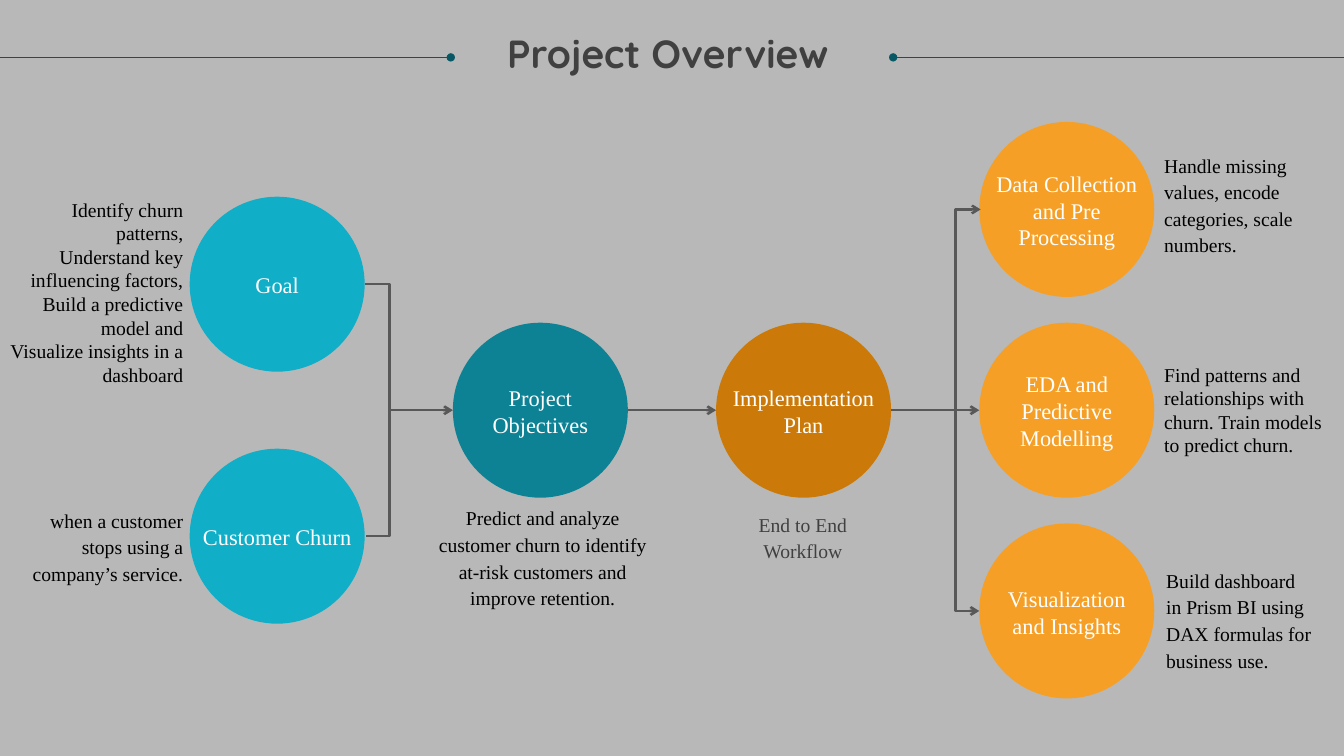
"""Build the Project Overview slide: a flow from goals to implementation steps."""
import dataclasses

import lxml.etree
import pptx
import pptx.dml.color
import pptx.enum.shapes
import pptx.enum.text
import pptx.oxml.ns
import pptx.util

Pt = pptx.util.Pt
qn = pptx.oxml.ns.qn
Align = pptx.enum.text.PP_ALIGN
Anchor = pptx.enum.text.MSO_ANCHOR
Connector = pptx.enum.shapes.MSO_CONNECTOR


def rgb(value):
    """Turn a hex string into a colour."""
    return pptx.dml.color.RGBColor.from_string(value)


@dataclasses.dataclass(frozen=True)
class Theme:
    """Colours, fonts and type sizes of the slide."""
    background: str = "B8B8B8"
    rule: str = "085764"
    link: str = "585858"
    source: str = "11AEC7"
    objective: str = "0D8295"
    plan: str = "CB7A09"
    step: str = "F59F26"
    light: str = "FFFFFF"
    muted: str = "404040"
    dark: str = "000000"
    title_font: str = "Quicksand"
    body_font: str = "Times New Roman"
    title_size: float = 28
    label_size: float = 16
    note_size: float = 14
    note_leading: float = 19


class FlowSlide:
    """Hold the theme and the current slide, and draw its elements."""

    def __init__(self, deck, theme):
        """Add a blank slide with the theme background."""
        self.theme = theme
        self.slide = deck.slides.add_slide(deck.slide_layouts[6])
        fill = self.slide.background.fill
        fill.solid()
        fill.fore_color.rgb = rgb(theme.background)

    def apply(self, target, formats):
        """Set every attribute named in the formats."""
        for name, value in formats.items():
            setattr(target, name, value)

    def text(self, box, paragraphs, size, color, font=None, align=Align.CENTER,
             anchor=Anchor.MIDDLE, leading=None, bold=False):
        """Write paragraphs in a box given as left, top, width and height."""
        frame = self.slide.shapes.add_textbox(*map(Pt, box)).text_frame
        self.apply(frame, {
            "word_wrap": True, "vertical_anchor": anchor,
            "auto_size": pptx.enum.text.MSO_AUTO_SIZE.SHAPE_TO_FIT_TEXT,
            "margin_left": 0, "margin_top": 0, "margin_right": 0, "margin_bottom": 0})
        frame.text = "\n".join(paragraphs)
        for paragraph in frame.paragraphs:
            self.apply(paragraph, {"alignment": align, "line_spacing": leading})
            for run in paragraph.runs:
                self.apply(run.font, {"name": font or self.theme.body_font,
                                      "size": Pt(size), "bold": bold})
                run.font.color.rgb = rgb(color)

    def circle(self, center, diameter, color):
        """Draw a filled circle around a center."""
        left, top = (value - diameter / 2 for value in center)
        shape = self.slide.shapes.add_shape(
            pptx.enum.shapes.MSO_SHAPE.OVAL, Pt(left), Pt(top), Pt(diameter), Pt(diameter))
        shape.shadow.inherit = False
        shape.fill.solid()
        shape.fill.fore_color.rgb = rgb(color)
        shape.line.fill.background()

    def label(self, center, text, lines):
        """Write a circle's label over its center."""
        width, height = 108, lines * 19.4
        box = (center[0] - width / 2, center[1] - height / 2 + 0.5, width, height)
        self.text(box, [text], self.theme.label_size, self.theme.light)

    def note(self, box, paragraphs, align, spaced=True, color=None):
        """Write the explanation beside a circle."""
        leading = Pt(self.theme.note_leading) if spaced else None
        self.text(box, paragraphs, self.theme.note_size, color or self.theme.dark,
                  align=align, leading=leading)

    def link(self, start, end, color, width, head=None, tail=None, reach=None):
        """Join two points, as a bracket when a reach is given."""
        kind = Connector.ELBOW if reach else Connector.STRAIGHT
        line = self.slide.shapes.add_connector(kind, *map(Pt, (*start, *end)))
        line.line.color.rgb = rgb(color)
        line.line.width = Pt(width)
        properties = line._element.spPr
        outline = properties.find(qn("a:ln"))
        for tag, arrow in (("a:headEnd", head), ("a:tailEnd", tail)):
            if arrow:
                lxml.etree.SubElement(outline, qn(tag), type=arrow)
        if reach:
            ratio = round(reach / abs(end[0] - start[0]) * 100000)
            adjustments = properties.find(qn("a:prstGeom")).find(qn("a:avLst"))
            lxml.etree.SubElement(adjustments, qn("a:gd"), name="adj1", fmla=f"val {ratio}")
        lxml.etree.SubElement(properties, qn("a:effectLst"))


def main():
    """Lay out the flow and save the deck."""
    deck = pptx.Presentation()
    deck.slide_width, deck.slide_height = Pt(960), Pt(540)
    theme = Theme()
    flow = FlowSlide(deck, theme)

    rule_y = 41
    flow.link((638, rule_y), (960, rule_y), theme.rule, 0.5, head="oval")
    flow.text((15, 24.5, 924, 61), ["Project Overview"], theme.title_size, theme.muted,
              font=theme.title_font, anchor=Anchor.TOP, leading=0.9, bold=True)
    flow.link((0, rule_y), (322, rule_y), theme.rule, 0.5, tail="oval")

    diameter, middle = 125, 293
    radius = diameter / 2
    source_x, objective_x, plan_x, step_x = (198 + 188 * column for column in range(4))
    source_ys = (middle - 90, middle + 90)
    step_ys = (middle - 143.4, middle + 143.4)
    stages = [
        ((source_x, source_ys[0]), theme.source, "Goal", 1),
        ((source_x, source_ys[1]), theme.source, "Customer Churn", 1),
        ((objective_x, middle), theme.objective, "Project Objectives", 2),
        ((plan_x, middle), theme.plan, "Implementation Plan", 2),
        ((step_x, middle), theme.step, "EDA and Predictive Modelling", 3),
        ((step_x, step_ys[0]), theme.step, "Data Collection and Pre Processing", 3),
        ((step_x, step_ys[1]), theme.step, "Visualization and Insights", 2),
    ]
    for center, color, _, _ in stages:
        flow.circle(center, diameter, color)

    reach = 18
    source_edge, step_edge = source_x + radius, step_x - radius
    flow.link((source_edge, source_ys[0]), (source_edge + 1, source_ys[1]),
              theme.link, 1.75, reach=reach)
    arrows = [(source_edge + reach, objective_x - radius),
              (objective_x + radius, plan_x - radius),
              (plan_x + radius, step_edge)]
    for start_x, end_x in arrows:
        flow.link((start_x, middle), (end_x, middle), theme.link, 1.75, tail="arrow")
    flow.link((step_edge + 1, step_ys[0]), (step_edge, step_ys[1]),
              theme.link, 1.75, head="arrow", tail="arrow", reach=reach)

    for center, _, text, lines in stages:
        flow.label(center, text, lines)

    flow.note((520.5, 364.5, 106, 37), ["End to End Workflow"], Align.CENTER,
              color=theme.muted)
    flow.note((309, 360, 157.5, 75),
              ["Predict and analyze customer churn to identify at-risk customers "
               "and improve retention."], Align.CENTER)
    flow.note((831.6, 108, 105.8, 75),
              ["Handle missing values, encode categories, scale numbers."], Align.LEFT)
    flow.note((833, 404.5, 105.8, 75),
              ["Build dashboard in Prism BI using DAX formulas for business use."], Align.LEFT)
    flow.note((4, 141, 127, 135),
              ["Identify churn patterns,", "Understand key influencing factors,",
               "Build a predictive model and", "Visualize insights in a dashboard"],
              Align.RIGHT, spaced=False)
    flow.note((15, 361.5, 116, 56),
              ["when a customer stops using a company’s service."], Align.RIGHT)
    flow.note((831.6, 258.5, 113, 68),
              ["Find patterns and relationships with churn. Train models to predict churn."],
              Align.LEFT, spaced=False)
    deck.save("out.pptx")


if __name__ == "__main__":
    main()
